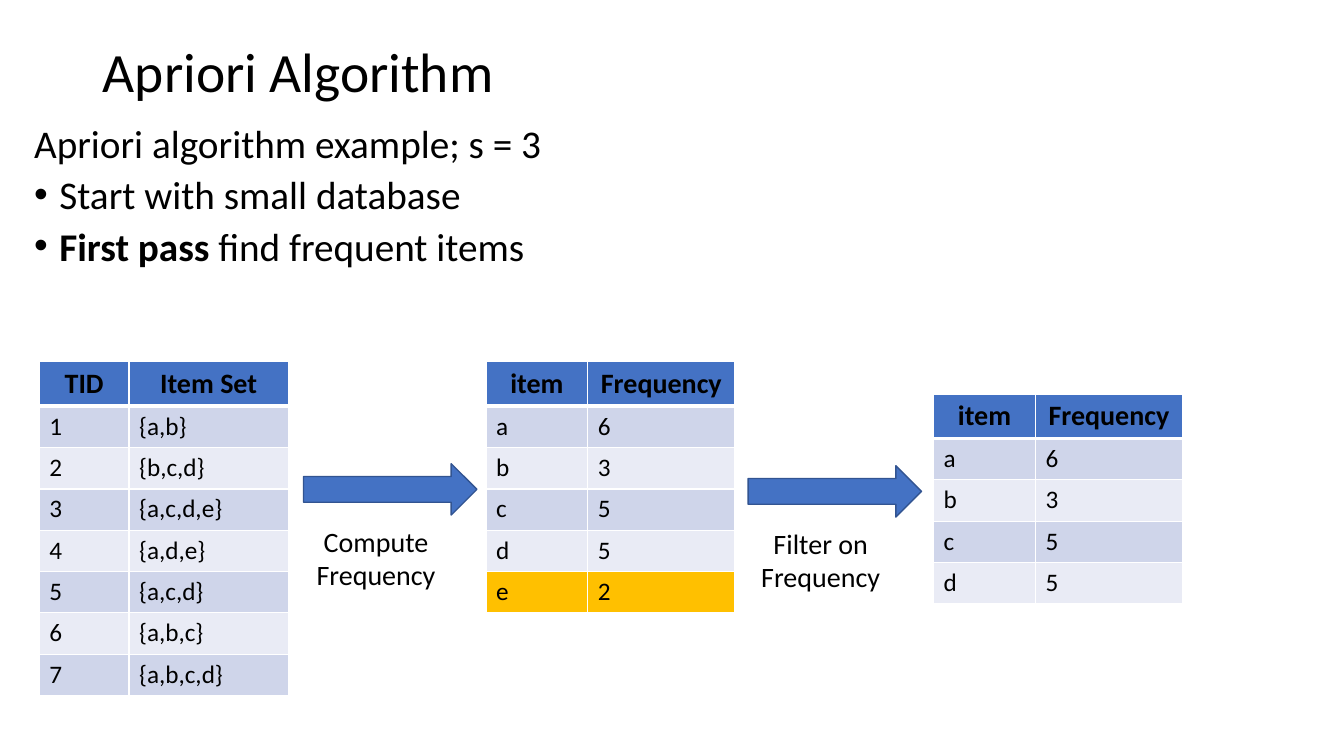
from lxml import etree
from pptx import Presentation
from pptx.dml.color import RGBColor
from pptx.enum.shapes import MSO_SHAPE
from pptx.enum.text import MSO_ANCHOR, MSO_AUTO_SIZE, PP_ALIGN
from pptx.oxml.ns import qn
from pptx.util import Inches, Pt

LEFT, CENTER = PP_ALIGN.LEFT, PP_ALIGN.CENTER
TOP, MIDDLE = MSO_ANCHOR.TOP, MSO_ANCHOR.MIDDLE
NO_FIT = MSO_AUTO_SIZE.NONE
RIGHT_ARROW = MSO_SHAPE.RIGHT_ARROW

COLORS = {
    "text": "000000", "header": "4472C4", "odd": "CFD5EA", "even": "E9EBF5",
    "infrequent": "FFC000", "border": "FFFFFF", "arrow_line": "325491",
}
MIN_SUPPORT = 3
ROW_HEIGHT = 0.41


def rgb(name):
    return RGBColor.from_string(COLORS[name])


class AprioriSlide:
    """Holds the text style and the current slide."""

    def __init__(self, deck, font="Calibri"):
        self.font = font
        self.slide = deck.slides.add_slide(deck.slide_layouts[5])

    def add_runs(self, paragraph, runs, size, **paragraph_format):
        """Fill a paragraph with (text, bold) runs."""
        for key, value in paragraph_format.items():
            setattr(paragraph, key, value)
        for text, bold in runs:
            run = paragraph.add_run()
            run.text = text
            style = {"name": self.font, "size": Pt(size), "bold": bold}
            for key, value in style.items():
                setattr(run.font, key, value)
            run.font.color.rgb = rgb("text")

    def frame(self, shape, anchor=TOP):
        frame = shape.text_frame
        settings = {"word_wrap": True, "auto_size": NO_FIT,
                    "vertical_anchor": anchor}
        for key, value in settings.items():
            setattr(frame, key, value)
        return frame

    def title(self, text, box):
        heading = self.slide.shapes.title
        for key, value in zip(("left", "top", "width", "height"), box):
            setattr(heading, key, Inches(value))
        self.add_runs(self.frame(heading, MIDDLE).paragraphs[0],
                      [(text, False)], 39.6, alignment=LEFT, line_spacing=0.9)

    def text_box(self, box):
        return self.frame(self.slide.shapes.add_textbox(*map(Inches, box)))

    def bullets(self, lines, box):
        """The first line is a lead-in; the others are bulleted."""
        body = self.text_box(box)
        for index, runs in enumerate(lines):
            paragraph = body.add_paragraph() if index else body.paragraphs[0]
            self.add_runs(paragraph, runs, 28, line_spacing=0.8,
                          space_before=Pt(10))
            if index:
                properties = paragraph._p.get_or_add_pPr()
                properties.set("marL", str(Inches(0.25)))
                properties.set("indent", str(-Inches(0.25)))
                etree.SubElement(properties, qn("a:buFont"), typeface="Arial")
                etree.SubElement(properties, qn("a:buChar"), char="•")

    def label(self, text, box):
        self.add_runs(self.text_box(box).paragraphs[0], [(text, False)], 20,
                      alignment=CENTER)

    def arrow(self, box):
        arrow = self.slide.shapes.add_shape(RIGHT_ARROW, *map(Inches, box))
        arrow.shadow.inherit = False
        arrow.fill.solid()
        arrow.fill.fore_color.rgb = rgb("header")
        arrow.line.color.rgb = rgb("arrow_line")
        arrow.line.width = Pt(1)

    def borders(self, cell, top, bottom):
        """Draw white cell borders; widths are in points."""
        properties = cell._tc.get_or_add_tcPr()
        widths = {"lnL": 1, "lnR": 1, "lnT": top, "lnB": bottom}
        for position, (side, width) in enumerate(widths.items()):
            line = etree.Element(qn(f"a:{side}"), w=str(Pt(width)))
            fill = etree.SubElement(line, qn("a:solidFill"))
            etree.SubElement(fill, qn("a:srgbClr"), val=COLORS["border"])
            properties.insert(position, line)

    def table(self, header, rows, left, top, widths, row_fill):
        records = [header, *rows]
        table = self.slide.shapes.add_table(
            len(records), len(header), Inches(left), Inches(top),
            Inches(sum(widths)), Inches(ROW_HEIGHT * len(records))).table
        for column, width in zip(table.columns, widths):
            column.width = Inches(width)
        for r, record in enumerate(records):
            is_header = r == 0
            fill = "header" if is_header else row_fill(r, record)
            for c, value in enumerate(record):
                cell = table.cell(r, c)
                cell.fill.solid()
                cell.fill.fore_color.rgb = rgb(fill)
                self.borders(cell, 3 if r == 1 else 1, 3 if is_header else 1)
                self.add_runs(cell.text_frame.paragraphs[0],
                              [(str(value), is_header)],
                              20 if is_header else 18,
                              alignment=CENTER if is_header else LEFT)


def banded(number, record):
    return "odd" if number % 2 else "even"


def flag_infrequent(number, record):
    return "infrequent" if record[1] < MIN_SUPPORT else banded(number, record)


def main():
    deck = Presentation()
    deck.slide_width, deck.slide_height = Inches(13.33), Inches(7.5)
    page = AprioriSlide(deck)

    # Heading and introduction
    page.title("Apriori Algorithm", (0.92, 0.4, 11.5, 0.68))
    page.bullets([
        [(f"Apriori algorithm example; s = {MIN_SUPPORT}", False)],
        [("Start with small database", False)],
        [("First pass ", True), ("find frequent items", False)],
    ], (0.24, 1.22, 9.01, 1.63))

    # Transactions, item counts and the items that pass the threshold
    item_sets = ["{a,b}", "{b,c,d}", "{a,c,d,e}", "{a,d,e}", "{a,c,d}",
                 "{a,b,c}", "{a,b,c,d}"]
    counts = [("a", 6), ("b", 3), ("c", 5), ("d", 5), ("e", 2)]
    frequent = [row for row in counts if row[1] >= MIN_SUPPORT]
    count_header, count_widths = ("item", "Frequency"), (1.01, 1.46)
    page.table(("TID", "Item Set"), list(enumerate(item_sets, 1)),
               0.39, 3.59, (0.89, 1.58), banded)
    page.table(count_header, counts, 4.82, 3.59, count_widths, flag_infrequent)
    page.table(count_header, frequent, 9.26, 3.91, count_widths, banded)

    # Steps between the tables
    for step, left, top in [("Compute Frequency", 3.01, 4.6),
                            ("Filter on Frequency", 7.42, 4.62)]:
        page.arrow((left, top, 1.72, 0.51))
        page.label(step, (left, top + 0.55, 1.44, 0.77))

    deck.save("out.pptx")


if __name__ == "__main__":
    main()
